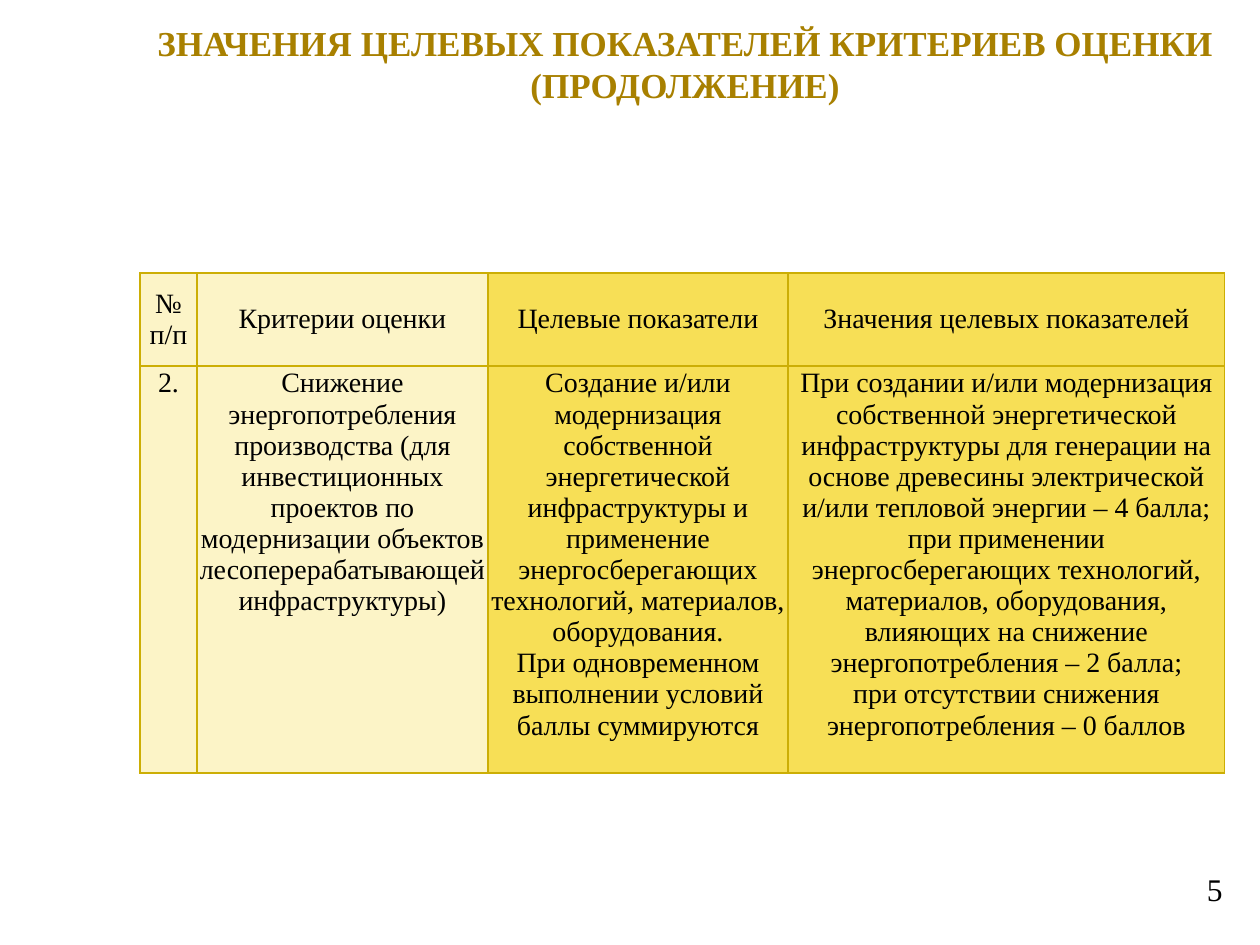
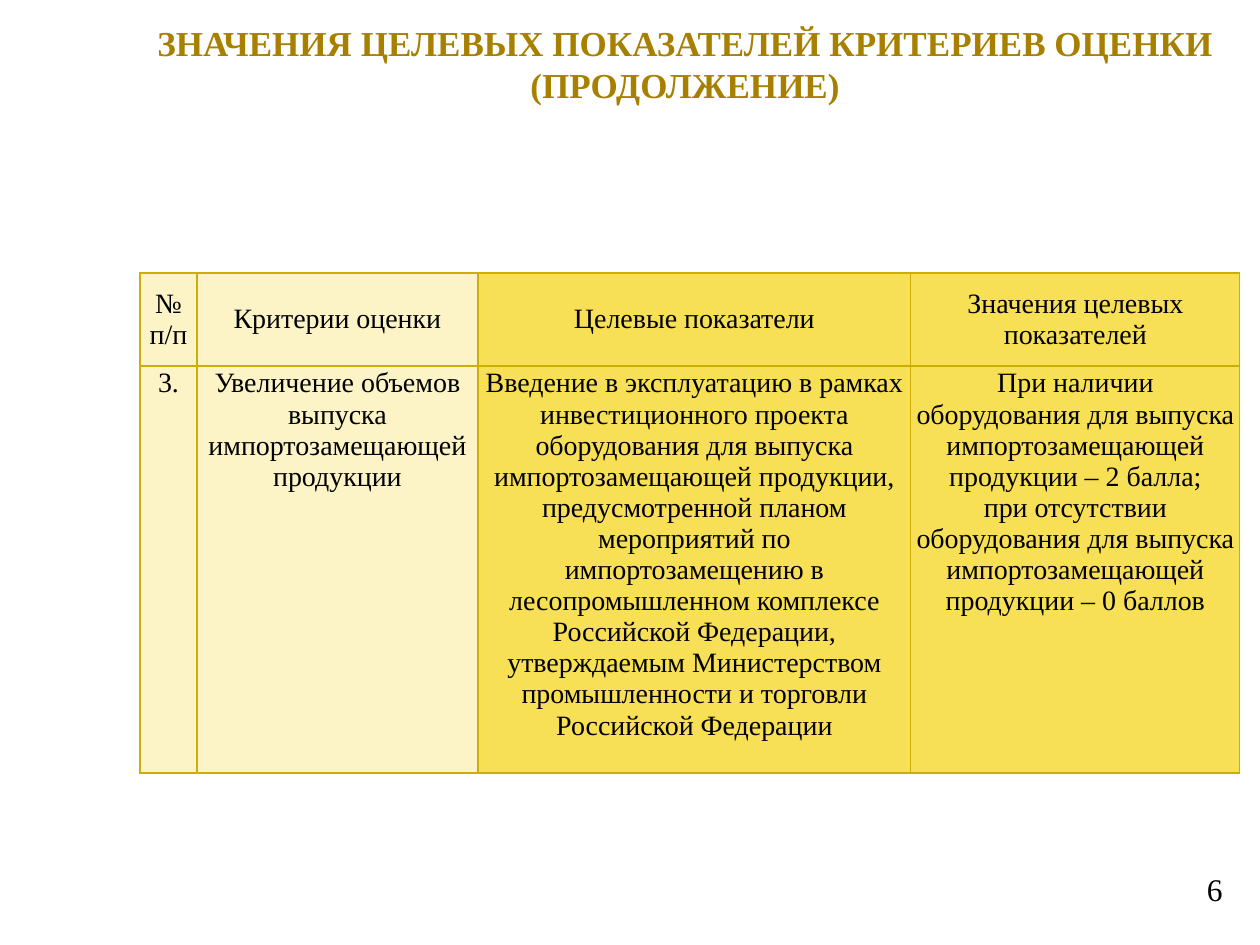
from itertools import accumulate
from lxml import etree
from pptx import Presentation
from pptx import util as u
from pptx.dml.color import RGBColor
from pptx.enum import text as t
from pptx.oxml.ns import qn

# Content
TITLE = "ЗНАЧЕНИЯ ЦЕЛЕВЫХ ПОКАЗАТЕЛЕЙ КРИТЕРИЕВ ОЦЕНКИ (ПРОДОЛЖЕНИЕ)"
HEAD = ["№ п/п", "Критерии оценки", "Целевые показатели",
        "Значения целевых показателей"]
PAGES = [
    {"page": "5", "cols": [57, 291, 300, 437], "row": [
        "2.",
        "Снижение энергопотребления производства (для инвестиционных "
        "проектов по модернизации объектов лесоперерабатывающей "
        "инфраструктуры)",
        "Создание и/или модернизация собственной энергетической "
        "инфраструктуры и применение энергосберегающих технологий, "
        "материалов, оборудования.\n"
        "При одновременном выполнении условий баллы суммируются",
        "При создании и/или модернизация собственной энергетической "
        "инфраструктуры для генерации на основе древесины электрической "
        "и/или тепловой энергии – 4 балла;\n"
        "при применении энергосберегающих технологий, материалов, "
        "оборудования, влияющих на снижение энергопотребления – 2 балла;\n"
        "при отсутствии снижения энергопотребления – 0 баллов"]},
    {"page": "6", "cols": [57, 281, 433, 329], "row": [
        "3.",
        "Увеличение объемов выпуска импортозамещающей продукции",
        "Введение в эксплуатацию в рамках инвестиционного проекта "
        "оборудования для выпуска импортозамещающей продукции, "
        "предусмотренной планом мероприятий по импортозамещению в "
        "лесопромышленном комплексе Российской Федерации, утверждаемым "
        "Министерством промышленности и торговли Российской Федерации",
        "При наличии оборудования для выпуска импортозамещающей "
        "продукции – 2 балла;\n"
        "при отсутствии оборудования для выпуска импортозамещающей "
        "продукции – 0 баллов"]},
]


# Theme
class Theme:
    font = "Times New Roman"
    gold, ink, edge = "A88000", "000000", "CCAE05"
    fills = ["FCF4C7", "FCF4C7", "F7DF56", "F7DF56"]
    title, body, page, line = 20, 16, 18, 0.75


# Layout in px
SLIDE = (1260, 945)
TITLE_AT = (135, 15, 1100, 157)
PAGE_AT = (941, 864, 294, 66)
GRID_AT = (140, 273)
ROWS = [93, 377]


def px(n):
    return u.Emu(n * u.Inches(1) // 126)


def write(frame, words, size, color, align, bold=False):
    frame.word_wrap = True
    for i, line in enumerate(words.split("\n")):
        para = frame.add_paragraph() if i else frame.paragraphs[0]
        para.alignment = align
        run = para.add_run()
        run.text = line
        font = run.font
        font.name, font.size, font.bold = Theme.font, u.Pt(size), bold
        font.color.rgb = RGBColor.from_string(color)


def inset(box, side, end):
    box.margin_left = box.margin_right = px(side)
    box.margin_top = box.margin_bottom = px(end)


def border(cell):
    props = cell._tc.get_or_add_tcPr()
    for side in ("a:lnL", "a:lnR", "a:lnT", "a:lnB"):
        line = etree.SubElement(props, qn(side), w=str(u.Pt(Theme.line)))
        fill = etree.SubElement(line, qn("a:solidFill"))
        etree.SubElement(fill, qn("a:srgbClr"), val=Theme.edge)


def add_title(slide):
    shape = slide.shapes.title
    shape.left, shape.top, shape.width, shape.height = map(px, TITLE_AT)
    frame = shape.text_frame
    frame.auto_size = t.MSO_AUTO_SIZE.NONE
    frame.vertical_anchor = t.MSO_ANCHOR.TOP
    inset(frame, 3, 6)
    write(frame, TITLE, Theme.title, Theme.gold, t.PP_ALIGN.CENTER, True)


def add_page(slide, number):
    box = slide.shapes.add_textbox(*map(px, PAGE_AT))
    write(box.text_frame, number, Theme.page, Theme.ink, t.PP_ALIGN.RIGHT)


def add_grid(slide, cols, row):
    size = (sum(cols), sum(ROWS))
    grid = slide.shapes.add_table(len(ROWS), len(cols),
                                  *map(px, GRID_AT + size)).table
    grid.first_row = grid.horz_banding = False
    # Column widths come from edges, so that rounding does not add up
    edges = [px(x) for x in accumulate(cols, initial=0)]
    for col, left, right in zip(grid.columns, edges, edges[1:]):
        col.width = right - left
    anchors = [t.MSO_ANCHOR.MIDDLE, t.MSO_ANCHOR.TOP]
    for r, (high, anchor, texts) in enumerate(zip(ROWS, anchors, [HEAD, row])):
        grid.rows[r].height = px(high)
        for c, (words, fill) in enumerate(zip(texts, Theme.fills)):
            cell = grid.cell(r, c)
            border(cell)
            cell.fill.solid()
            cell.fill.fore_color.rgb = RGBColor.from_string(fill)
            cell.vertical_anchor = anchor
            inset(cell, 1, 2)
            write(cell.text_frame, words, Theme.body, Theme.ink,
                  t.PP_ALIGN.CENTER)


def main():
    deck = Presentation()
    deck.slide_width, deck.slide_height = map(px, SLIDE)
    for item in PAGES:
        slide = deck.slides.add_slide(deck.slide_layouts[5])
        add_title(slide)
        add_page(slide, item["page"])
        add_grid(slide, item["cols"], item["row"])
    deck.save("out.pptx")


if __name__ == "__main__":
    main()
